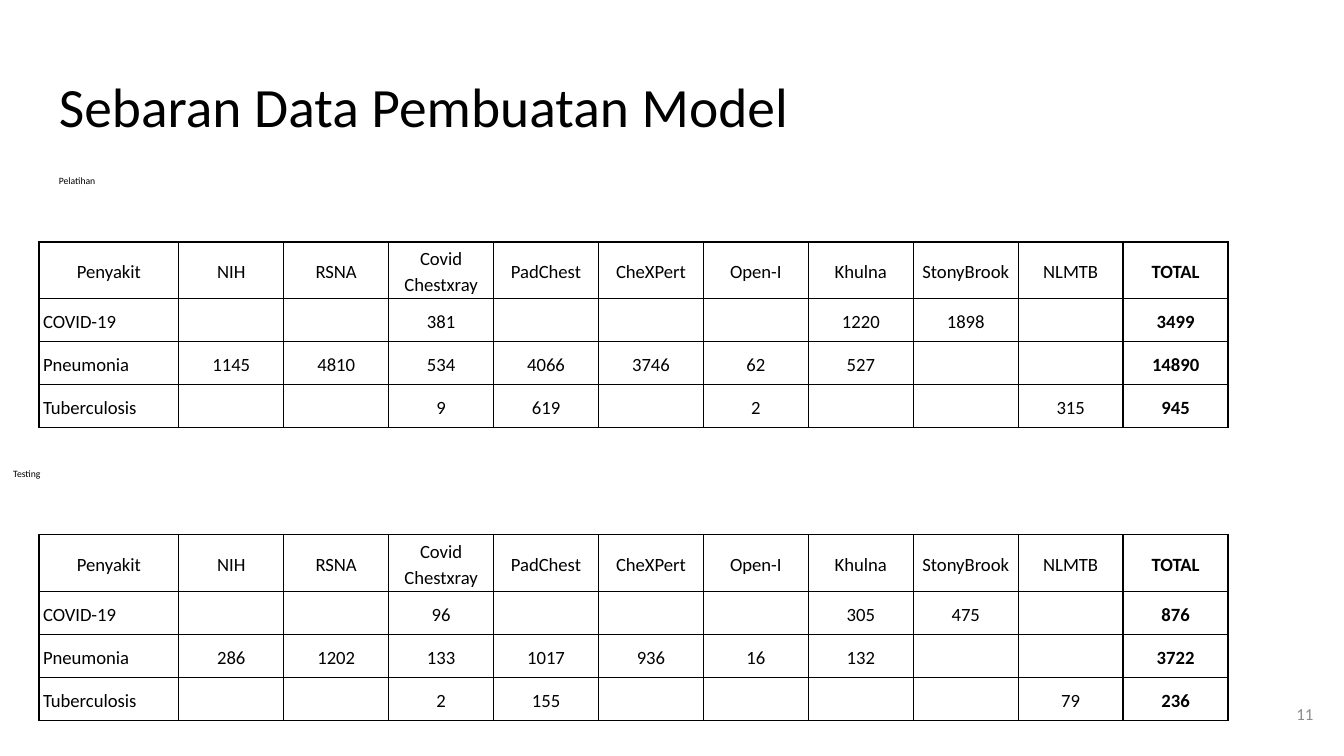
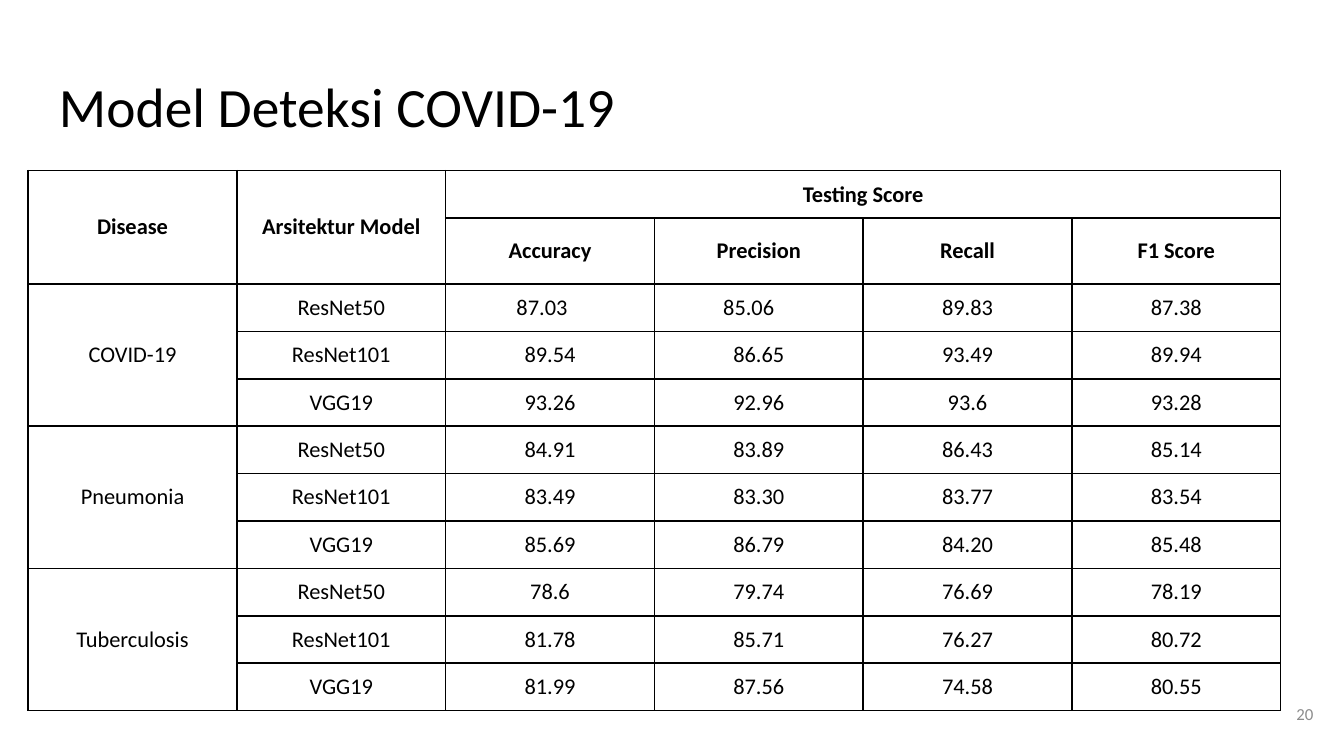
import pptx
import pptx.util
import pptx.dml.color
import pptx.enum.text
import lxml.etree

Inches = pptx.util.Inches
Pt = pptx.util.Pt
ALIGN = pptx.enum.text.PP_ALIGN
ANCHOR = pptx.enum.text.MSO_ANCHOR
NS = "http://schemas.openxmlformats.org/drawingml/2006/main"

FACE = "Calibri"
BLACK, GREY, WHITE = "000000", "8C8C8C", "FFFFFF"
SIDES = ("left", "right", "top", "bottom")
WIDE = 10

HEADS = ["Penyakit", "NIH", "RSNA", "Covid Chestxray", "PadChest", "CheXPert",
         "Open-I", "Khulna", "StonyBrook", "NLMTB", "TOTAL"]
TRAIN = [
    ["COVID-19", "", "", "381", "", "", "", "1220", "1898", "", "3499"],
    ["Pneumonia", "1145", "4810", "534", "4066", "3746", "62", "527", "", "", "14890"],
    ["Tuberculosis", "", "", "9", "619", "", "2", "", "", "315", "945"],
]
TEST = [
    ["COVID-19", "", "", "96", "", "", "", "305", "475", "", "876"],
    ["Pneumonia", "286", "1202", "133", "1017", "936", "16", "132", "", "", "3722"],
    ["Tuberculosis", "", "", "2", "155", "", "", "", "", "79", "236"],
]
MODELS = ["ResNet50", "ResNet101", "VGG19"]
SCORES = {
    "COVID-19": [
        ["87.03", "85.06", "89.83", "87.38"],
        ["89.54", "86.65", "93.49", "89.94"],
        ["93.26", "92.96", "93.6", "93.28"],
    ],
    "Pneumonia": [
        ["84.91", "83.89", "86.43", "85.14"],
        ["83.49", "83.30", "83.77", "83.54"],
        ["85.69", "86.79", "84.20", "85.48"],
    ],
    "Tuberculosis": [
        ["78.6", "79.74", "76.69", "78.19"],
        ["81.78", "85.71", "76.27", "80.72"],
        ["81.99", "87.56", "74.58", "80.55"],
    ],
}
SHIFT = {"87.03": 0.15, "85.06": 0.18}


def tint(code):
    return pptx.dml.color.RGBColor.from_string(code)


def apply(item, form):
    for name, value in form.items():
        setattr(item, name, value)


def write(frame, text, size, code=BLACK, bold=False, **form):
    para = frame.paragraphs[0]
    apply(para, form)
    run = para.add_run()
    run.text = text
    apply(run.font, {"name": FACE, "size": Pt(size), "bold": bold})
    run.font.color.rgb = tint(code)


def label(slide, box, text, size, code=BLACK, anchor=ANCHOR.TOP, drop=0.1, **form):
    frame = slide.shapes.add_textbox(*map(Inches, box)).text_frame
    apply(frame, {"word_wrap": True, "vertical_anchor": anchor})
    apply(frame, {f"margin_{side}": Inches(0.1) for side in SIDES})
    frame.margin_top = Inches(drop)
    write(frame, text, size, code, **form)


def base(deck, title, number):
    slide = deck.slides.add_slide(deck.slide_layouts[6])
    label(slide, (0.34, 0.49, 9.32, 0.63), title, 29.7, line_spacing=0.9)
    label(slide, (9.27, 5.1, 0.6, 0.43), number, 9, GREY, ANCHOR.MIDDLE,
          alignment=ALIGN.RIGHT)
    return slide


def edge(cell, width):
    props = cell._tc.get_or_add_tcPr()
    for side in "LRTB":
        line = lxml.etree.SubElement(props, f"{{{NS}}}ln{side}", w=str(Pt(width)))
        fill = lxml.etree.SubElement(line, f"{{{NS}}}solidFill")
        lxml.etree.SubElement(fill, f"{{{NS}}}srgbClr", val=BLACK)


def pad(cell, wide, high):
    apply(cell, {"margin_left": Inches(wide), "margin_right": Inches(wide),
                 "margin_top": Inches(high), "margin_bottom": Inches(high)})


def grid(slide, box, cols, rows, width):
    frame = slide.shapes.add_table(len(rows), len(cols), *map(Inches, box))
    table = frame.table
    apply(table, {"first_row": False, "horz_banding": False})
    for col, size in zip(table.columns, cols):
        col.width = Inches(size)
    for row, size in zip(table.rows, rows):
        row.height = Inches(size)
    for cell in table.iter_cells():
        edge(cell, width)
        cell.fill.background()
        cell.vertical_anchor = ANCHOR.MIDDLE
    frame.height = Inches(box[3])
    return table


def counts(slide, box, data):
    cols = [1.04] + [(box[2] - 1.04) / 10] * 10
    table = grid(slide, box, cols, [0.39] + [0.22] * 3, 0.75)
    for i, row in enumerate([HEADS] + data):
        for j, text in enumerate(row):
            cell = table.cell(i, j)
            pad(cell, 0.03, 0.02 if text else 0.01)
            if text:
                side = ALIGN.LEFT if i and not j else ALIGN.CENTER
                write(cell.text_frame, text, 10, bold=j == 10,
                      alignment=side, line_spacing=1.15)


def scores(slide, box):
    high = (box[3] - 0.49) / 10
    table = grid(slide, box, [box[2] / 6] * 6, [high, 0.49] + [high] * 9, 1)

    def put(i, j, text, down=1, over=1):
        cell = table.cell(i, j)
        if down * over > 1:
            cell.merge(table.cell(i + down - 1, j + over - 1))
        pad(cell, 0.07, 0.07)
        write(cell.text_frame, text, 12, bold=i < 2, alignment=ALIGN.CENTER)
        return cell

    put(0, 0, "Disease", down=2)
    put(0, 1, "Arsitektur Model", down=2)
    put(0, 2, "Testing Score", over=4)
    for j, text in enumerate(["Accuracy", "Precision", "Recall", "F1 Score"], 2):
        put(1, j, text)
    for k, (name, block) in enumerate(SCORES.items()):
        top = 2 + 3 * k
        put(top, 0, name, down=3)
        for i, (model, row) in enumerate(zip(MODELS, block), top):
            put(i, 1, model)
            for j, text in enumerate(row, 2):
                cell = put(i, j, text)
                pad(cell, 0.03, 0.03)
                cell.margin_right = Inches(SHIFT.get(text, 0.03))
                cell.fill.solid()
                cell.fill.fore_color.rgb = tint(WHITE)


def spread(deck):
    slide = base(deck, "Sebaran Data Pembuatan Model", "11")
    parts = [("Pelatihan", 0.34, 1.26, TRAIN), ("Testing", 0, 3.44, TEST)]
    for text, left, top, data in parts:
        label(slide, (left, top, 9.32, 0.42), text, 5.2, drop=0.17,
              line_spacing=0.7, space_after=Pt(12))
        counts(slide, (0.29, top + 0.54, 8.85, 1.21), data)


def detect(deck):
    slide = base(deck, "Model Deteksi COVID-19", "20")
    scores(slide, (0.21, 1.27, 9.32, 4.02))


def main():
    deck = pptx.Presentation()
    apply(deck, {"slide_width": Inches(WIDE), "slide_height": Inches(WIDE * 9 / 16)})
    spread(deck)
    detect(deck)
    deck.save("out.pptx")


if __name__ == "__main__":
    main()
